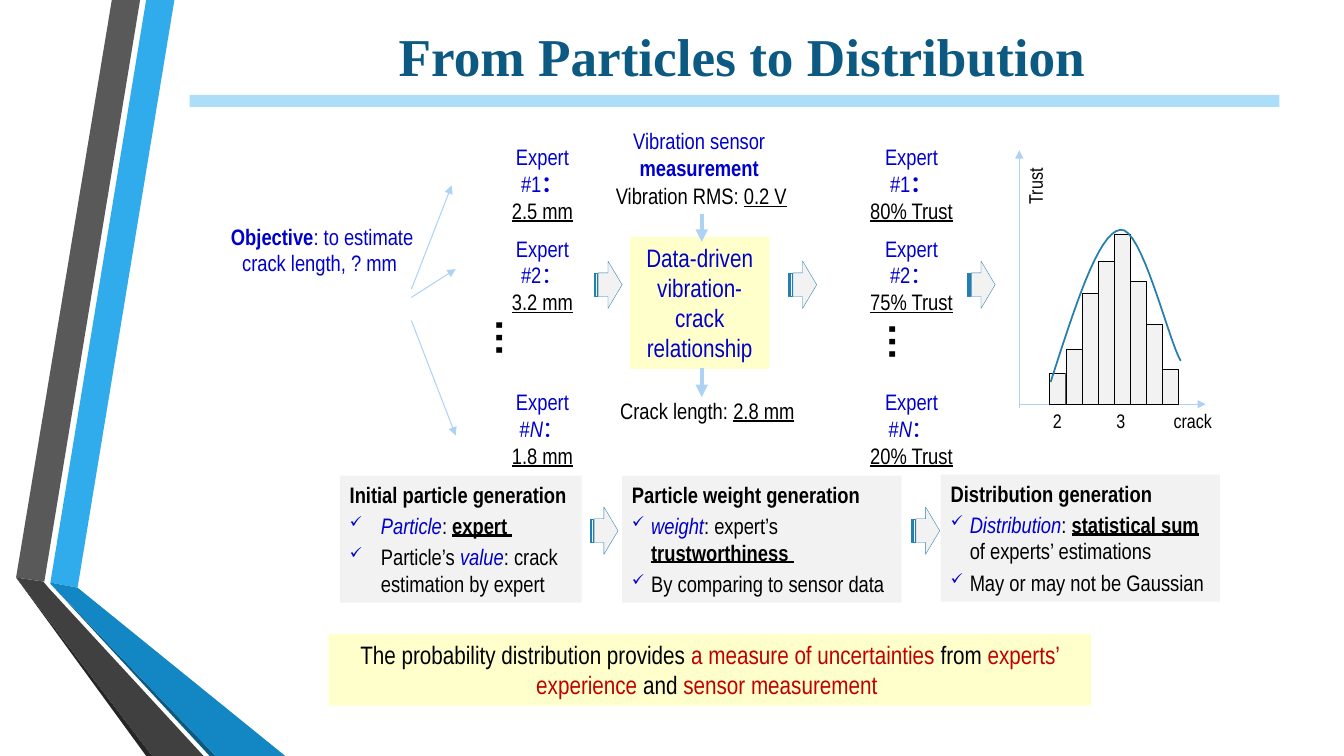
"""Build the slide "From Particles to Distribution"."""
from lxml import etree
from pptx import Presentation
from pptx.dml.color import RGBColor
from pptx.enum.shapes import MSO_CONNECTOR, MSO_SHAPE
from pptx.enum.text import MSO_ANCHOR, MSO_AUTO_SIZE, PP_ALIGN
from pptx.oxml.ns import qn
from pptx.util import Inches, Pt

RECT, STRIPED = MSO_SHAPE.RECTANGLE, MSO_SHAPE.STRIPED_RIGHT_ARROW
STRAIGHT = MSO_CONNECTOR.STRAIGHT
LEFT, CENTER, RIGHT = PP_ALIGN.LEFT, PP_ALIGN.CENTER, PP_ALIGN.RIGHT
TOP, MIDDLE = MSO_ANCHOR.TOP, MSO_ANCHOR.MIDDLE
GROW, FIXED = MSO_AUTO_SIZE.SHAPE_TO_FIT_TEXT, MSO_AUTO_SIZE.NONE
COLORS = {
    "black": "000000", "blue": "0000CC", "red": "C00000", "navy": "0C5A82",
    "sky": "30ACEC", "ocean": "1287C3", "gray": "595959", "coal": "404040",
    "ink": "262626", "rule": "ACDEF7", "pale": "AED2F4", "teal": "247FAF",
    "light": "F2F2F2", "cream": "FFFFCC",
}
RGB = {name: RGBColor.from_string(code) for name, code in COLORS.items()}

prs = Presentation()
prs.slide_width, prs.slide_height = Inches(13.33), Inches(7.5)
slide = prs.slides.add_slide(prs.slide_layouts[5])
shapes = slide.shapes


def block(kind, box, fill, line=None, width=0.25):
    """Add a filled preset shape."""
    shape = shapes.add_shape(kind, *map(Inches, box))
    shape.shadow.inherit = False
    shape.fill.solid()
    shape.fill.fore_color.rgb = RGB[fill]
    if line:
        shape.line.color.rgb = RGB[line]
        shape.line.width = Pt(width)
    else:
        shape.line.fill.background()
    return shape


def write(shape, paras, size=16, align=CENTER, face="Arial Narrow", indent=0, wrap=True):
    """Fill a shape with paragraphs of (text, style) runs."""
    frame = shape.text_frame
    frame.word_wrap = wrap
    frame.auto_size = GROW
    frame.vertical_anchor = TOP
    for i, runs in enumerate(paras):
        para = frame.add_paragraph() if i else frame.paragraphs[0]
        para.alignment = align
        if i and indent:
            props = para._p.get_or_add_pPr()
            props.set("marL", str(Inches(indent)))
            props.set("indent", str(-Inches(indent)))
            tint = etree.SubElement(props, qn("a:buClr"))
            etree.SubElement(tint, qn("a:srgbClr"), val=COLORS["blue"])
            etree.SubElement(props, qn("a:buSzPct"), val="70000")
            etree.SubElement(props, qn("a:buChar"), char="✓")
            para.space_before = Pt(3)
        for text, style in runs:
            color, *flags = style.split()
            run = para.add_run()
            run.text = text
            font = run.font
            font.name, font.size = face, Pt(size)
            font.color.rgb = RGB[color]
            font.bold, font.italic, font.underline = "b" in flags, "i" in flags, "u" in flags


bands = [
    ("sky", [(0.5, 5.78), (0.77, 5.83), (1.73, 0), (1.45, 0)]),
    ("gray", [(1.39, 0), (1.11, 0), (0.16, 5.73), (0.44, 5.77)]),
    ("ink", [(0.16, 5.73), (1.45, 7.5), (1.51, 7.5)]),
    ("navy", [(0.5, 5.79), (2.08, 7.5), (2.14, 7.5)]),
    ("ocean", [(0.5, 5.79), (2.14, 7.5), (2.83, 7.5), (0.77, 5.83), (0.5, 5.78)]),
    ("coal", [(2.02, 7.5), (0.48, 5.83), (0.43, 5.77), (0.16, 5.73), (1.51, 7.5)]),
]
for color, points in bands:
    spots = [(Inches(x), Inches(y)) for x, y in points]
    path = shapes.build_freeform(*spots[0])
    path.add_line_segments(spots[1:], close=True)
    band = path.convert_to_shape()
    band.shadow.inherit = False
    band.fill.solid()
    band.fill.fore_color.rgb = RGB[color]
    band.line.fill.background()

block(RECT, (1.88, 0.94, 10.81, 0.12), "rule")
title = shapes.title
title.left, title.top = Inches(1.88), Inches(0.21)
title.width, title.height = Inches(10.96), Inches(0.68)
write(title, [[("From Particles to Distribution", "navy b")]], 38, face="Times New Roman")
title.text_frame.auto_size = FIXED
title.text_frame.vertical_anchor = MIDDLE

panels = [
    ((3.37, 4.72, 2.4, 1.26), 0.31, [
        [("Initial particle generation", "black b")],
        [("Particle", "blue i"), (": ", "black"), ("expert ", "black b u")],
        [("Particle’s ", "black"), ("value", "blue i"),
         (": crack estimation by expert", "black")]]),
    ((6.17, 4.72, 2.77, 1.26), 0.19, [
        [("Particle weight generation", "black b")],
        [("weight", "blue i"), (": expert’s ", "black"), ("trustworthiness ", "black b u")],
        [("By comparing to sensor data", "black")]]),
    ((9.33, 4.71, 2.77, 1.26), 0.19, [
        [("Distribution generation", "black b")],
        [("Distribution", "blue i"), (": ", "black"), ("statistical sum", "black b u"),
         (" of experts’ estimations", "black")],
        [("May or may not be Gaussian", "black")]]),
]
for box, indent, paras in panels:
    write(block(RECT, box, "light"), paras, align=LEFT, indent=indent)

model = block(RECT, (6.25, 2.35, 1.38, 1.31), "cream")
write(model, [[("Data-driven vibration-crack relationship", "blue")]], 18)
banner = block(RECT, (3.26, 6.29, 7.56, 0.71), "cream")
write(banner, [[
    ("The probability distribution provides ", "black"), ("a measure of uncertainties ", "red"),
    ("from ", "black"), ("experts’ experience ", "red"), ("and", "black"),
    (" sensor measurement ", "red")]], 18)

for x, y in [(5.89, 2.59), (7.82, 2.59), (9.59, 2.59), (5.85, 5.03), (9.04, 5.03)]:
    block(STRIPED, (x, y, 0.28, 0.47), "light", "teal")

notes = [
    ((2.19, 2.16, 2.01, 0.64), [("Objective", "blue b"),
                                (": to estimate crack length, ? mm ", "blue")]),
    ((5.93, 1.21, 2.01, 0.64), [("Vibration sensor ", "blue"), ("measurement", "blue b")]),
    ((5.97, 1.76, 1.97, 0.37), [("Vibration RMS: ", "black"), ("0.2 V", "black u")]),
    ((6.01, 3.89, 2.01, 0.37), [("Crack length: ", "black"), ("2.8 mm", "black u")]),
]
for box, runs in notes:
    write(shapes.add_textbox(*map(Inches, box)), [runs])

heads = [
    (1.37, [("Expert #1", "blue"), ("：", "blue b")]),
    (2.28, [("Expert #2：", "blue")]),
    (3.8, [("Expert #", "blue"), ("N", "blue i"), ("：", "blue")]),
]
experts = [
    (4.87, ["2.5 mm", "3.2 mm", "1.8 mm"]),
    (8.53, ["80% Trust ", "75% Trust", "20% Trust"]),
]
for x, values in experts:
    for (y, head), value in zip(heads, values):
        box = shapes.add_textbox(Inches(x), Inches(y), Inches(1.02), Inches(0.64))
        write(box, [head, [(value, "black u")]])

for x, y in [(4.68, 3.17), (8.58, 3.21)]:
    dots = shapes.add_textbox(Inches(x), Inches(y), Inches(0.79), Inches(0.57))
    dots.rotation = 90
    write(dots, [[("…", "black b")]], 28, LEFT, "Arial")

BASE, STEP = 4.01, 0.16
arrows = [
    (4.08, 2.87, 4.48, 1.84, 0.75), (4.08, 2.95, 4.52, 2.67, 0.75),
    (4.08, 3.18, 4.52, 4.32, 0.75), (6.96, 2.12, 6.96, 2.4, 3),
    (6.96, 3.65, 6.96, 3.94, 3), (10.11, BASE, 11.96, BASE, 0.75),
    (10.11, 4.05, 10.11, 1.49, 0.75),
]
for *ends, width in arrows:
    arrow = shapes.add_connector(STRAIGHT, *map(Inches, ends))
    arrow.line.color.rgb = RGB["pale"]
    arrow.line.width = Pt(width)
    etree.SubElement(arrow.line._get_or_add_ln(), qn("a:tailEnd"), type="triangle")
    etree.SubElement(arrow._element.spPr, qn("a:effectLst"))

for i, height in enumerate([0.31, 0.55, 1.1, 1.42, 1.69, 1.22, 0.79, 0.35]):
    block(RECT, (10.41 + i * STEP, BASE - height, STEP, height), "light", "black")

bends = [
    [(10.42, 3.79), (10.66, 3.05), (10.89, 2.31), (11.11, 2.28)],
    [(11.11, 2.28), (11.32, 2.24), (11.59, 3.38), (11.71, 3.58)],
]
spots = []
for bend in bends:
    for i in range(17):
        t = i / 16
        parts = [(1 - t) ** 3, 3 * t * (1 - t) ** 2, 3 * t * t * (1 - t), t ** 3]
        spots.append([Inches(sum(k * v for k, v in zip(parts, axis))) for axis in zip(*bend)])
path = shapes.build_freeform(*spots[0])
path.add_line_segments(spots[1:], close=False)
curve = path.convert_to_shape()
curve.shadow.inherit = False
curve.fill.background()
curve.line.color.rgb = RGB["teal"]
curve.line.width = Pt(1.25)

labels = [
    ("crack", 11.53, BASE, 0.59, 0), ("3", 10.97, BASE, 0.29, 0),
    ("2", 10.34, BASE, 0.29, 0), ("Trust", 9.99, 1.68, 0.56, 270),
]
for text, x, y, width, turn in labels:
    label = shapes.add_textbox(Inches(x), Inches(y), Inches(width), Inches(0.34))
    label.rotation = turn
    write(label, [[(text, "black")]], 14, RIGHT, wrap=False)

prs.save("out.pptx")
